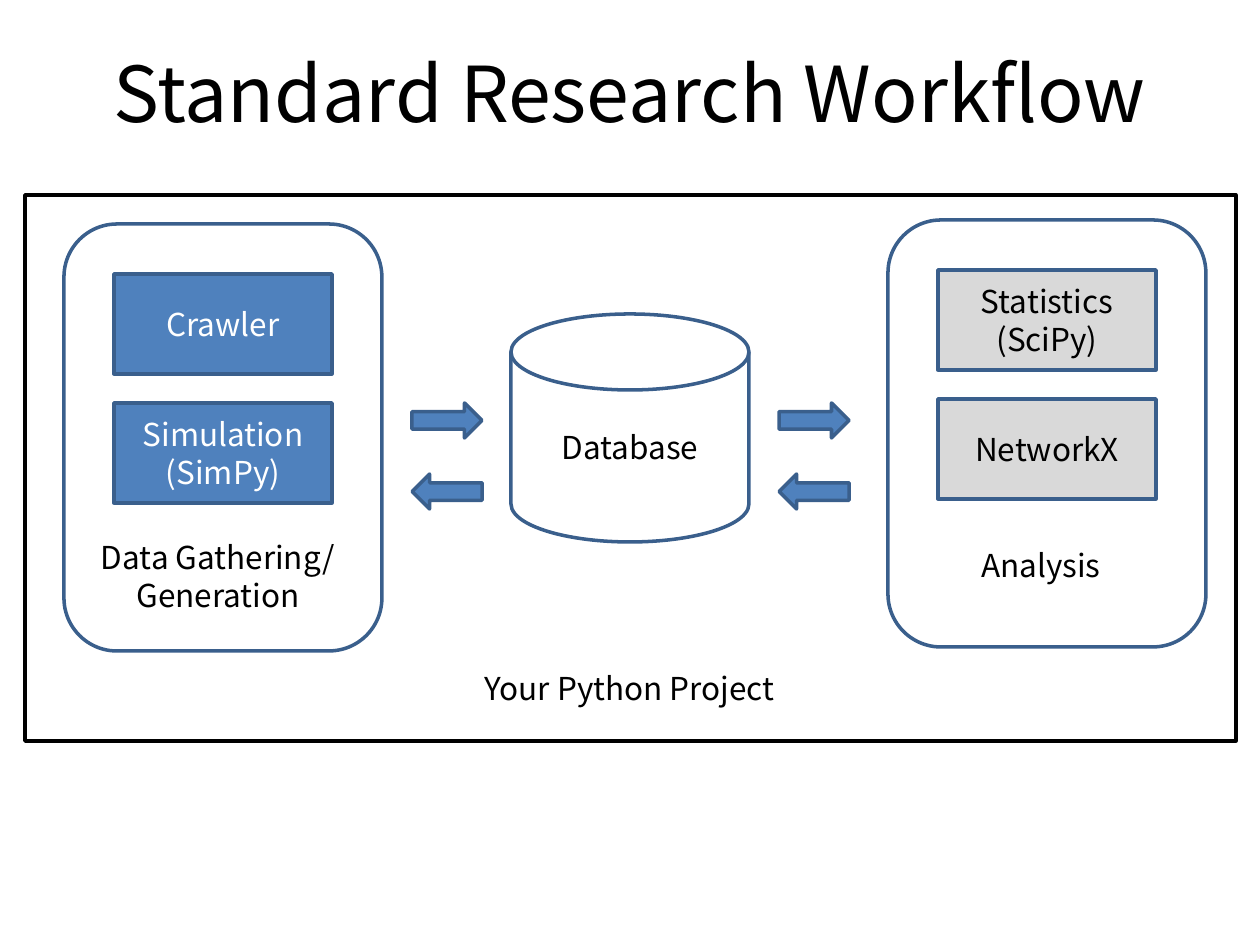
from dataclasses import dataclass
from itertools import product
from typing import NamedTuple, Optional

from pptx import Presentation
from pptx.dml.color import RGBColor
from pptx.enum.shapes import MSO_SHAPE as Preset
from pptx.enum.text import MSO_ANCHOR as Anchor, PP_ALIGN as Align
from pptx.util import Pt

EMU_PER_PX = 914400 / 126
FONT = "Noto Sans CJK KR"
COLORS = {
    "ink": "000000",
    "paper": "FFFFFF",
    "blue": "4F81BD",
    "edge": "3A5F8C",
    "grey": "D9D9D9",
}


class Box(NamedTuple):
    left: int
    top: int
    width: int
    height: int


@dataclass
class Stage:
    left: int
    top: int
    steps: tuple[str, str]
    fill: str
    ink: str
    caption: str
    caption_box: Box


def emu(px: int) -> int:
    return round(px * EMU_PER_PX)


def color(key: str) -> RGBColor:
    return RGBColor.from_string(COLORS[key])


def apply(target, formats: dict) -> None:
    for attribute, value in formats.items():
        setattr(target, attribute, value)


def write(frame, text: str, ink: str = "ink", size: int = 18,
          anchor: Anchor = Anchor.MIDDLE) -> None:
    frame.text = text
    apply(frame, {"word_wrap": True, "vertical_anchor": anchor})
    for paragraph in frame.paragraphs:
        paragraph.alignment = Align.CENTER
        apply(paragraph.font, {"name": FONT, "size": Pt(size)})
        paragraph.font.color.rgb = color(ink)


def draw(slide, preset: Preset, box: Box, fill: Optional[str] = None,
         edge: str = "edge", text: str = "", ink: str = "ink",
         rotation: int = 0) -> None:
    shape = slide.shapes.add_shape(preset, *map(emu, box))
    apply(shape, {"rotation": rotation})
    shape.shadow.inherit = False
    if fill:
        shape.fill.solid()
        shape.fill.fore_color.rgb = color(fill)
    else:
        shape.fill.background()
    shape.line.color.rgb = color(edge)
    shape.line.width = Pt(2)
    if text:
        write(shape.text_frame, text, ink)


def draw_caption(slide, text: str, box: Box) -> None:
    caption = slide.shapes.add_textbox(*map(emu, box))
    write(caption.text_frame, text, anchor=Anchor.TOP)


def draw_stage(slide, stage: Stage) -> None:
    draw(slide, Preset.ROUNDED_RECTANGLE, Box(stage.left, stage.top, 318, 427))
    draw_caption(slide, stage.caption, stage.caption_box)
    for row, step in enumerate(stage.steps):
        box = Box(stage.left + 50, stage.top + 50 + 129 * row, 218, 100)
        draw(slide, Preset.RECTANGLE, box, stage.fill, text=step, ink=stage.ink)


def main() -> None:
    presentation = Presentation()
    apply(presentation, {"slide_width": emu(1260), "slide_height": emu(945)})
    slide = presentation.slides.add_slide(presentation.slide_layouts[5])

    title = slide.shapes.title
    title_box = Box(35, 37, 1190, 110)
    apply(title, dict(zip(Box._fields, map(emu, title_box))))
    write(title.text_frame, "Standard Research Workflow", size=44)

    stages = [
        Stage(64, 224, ("Crawler", "Simulation\n(SimPy)"), "blue", "paper",
              "Data Gathering/\nGeneration", Box(84, 532, 268, 89)),
        Stage(888, 220, ("Statistics\n(SciPy)", "NetworkX"), "grey", "ink",
              "Analysis", Box(907, 540, 268, 50)),
    ]
    for stage in stages:
        draw_stage(slide, stage)

    draw(slide, Preset.FLOWCHART_MAGNETIC_DISK, Box(511, 314, 238, 228),
         text="Database")
    for left, (top, rotation) in product((412, 779), ((403, 0), (474, 180))):
        draw(slide, Preset.RIGHT_ARROW, Box(left, top, 70, 35), "blue",
             rotation=rotation)

    draw(slide, Preset.RECTANGLE, Box(25, 195, 1211, 546), edge="ink")
    draw_caption(slide, "Your Python Project", Box(446, 663, 367, 50))
    presentation.save("out.pptx")


if __name__ == "__main__":
    main()
